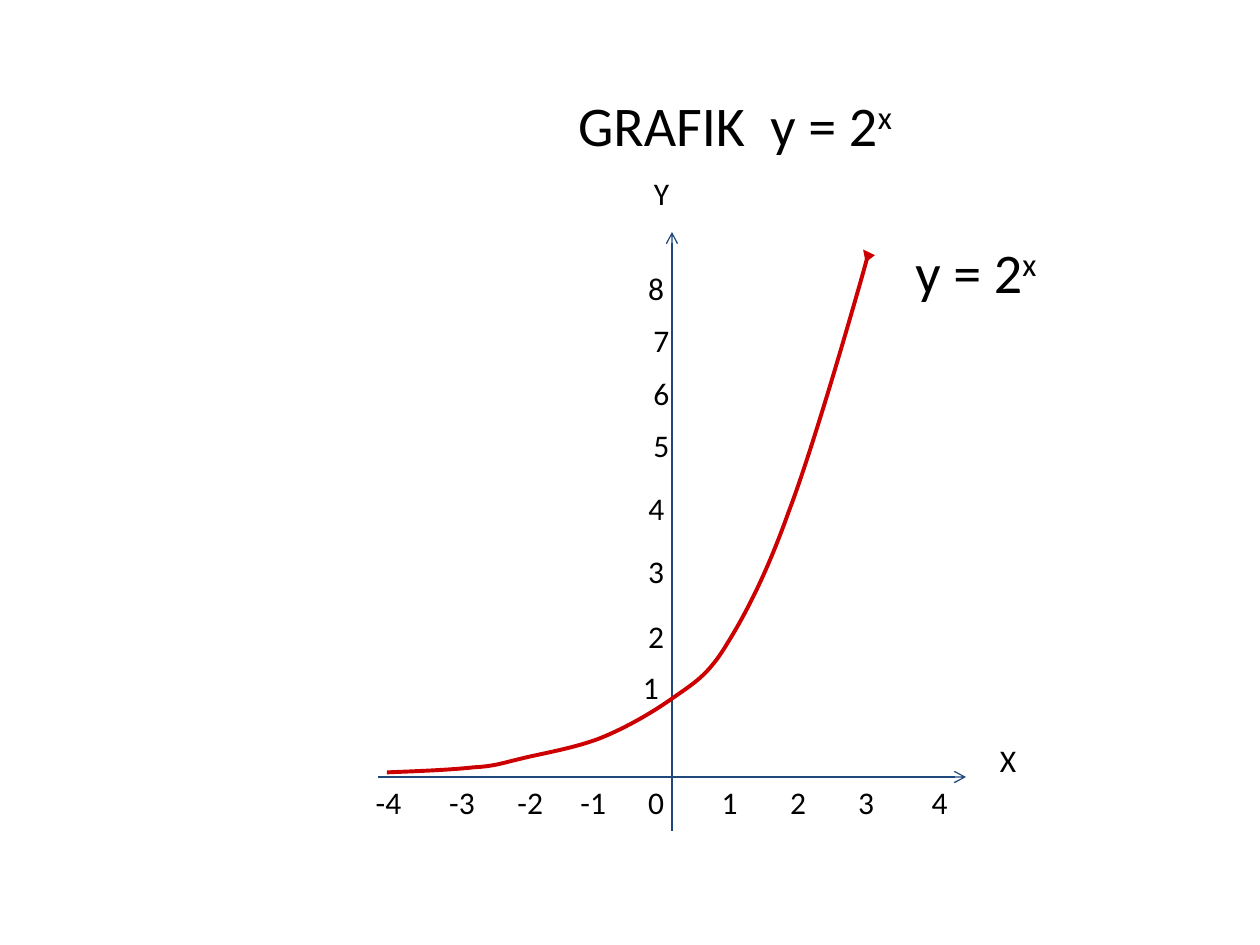
import pptx
import pptx.dml.color
import pptx.enum.shapes
import pptx.enum.text
import pptx.oxml.ns
import pptx.util
from lxml import etree

BLACK = pptx.dml.color.RGBColor(0x00, 0x00, 0x00)
NAVY = pptx.dml.color.RGBColor(0x1F, 0x49, 0x7D)
RED = pptx.dml.color.RGBColor(0xCC, 0x00, 0x00)
CENTER = pptx.enum.text.PP_ALIGN.CENTER
LEFT = pptx.enum.text.PP_ALIGN.LEFT
CELL = pptx.util.Inches(1) / 12
UNIT = pptx.util.Inches(0.01)
LABEL_ROWS = 4.8

X_TICKS = zip(range(-4, 5),
              (-30, -23, -16, -10, -4, 3, 10, 16, 22),
              (6, 6, 5, 5, 5, 5, 4, 5, 7))
Y_TICKS = zip(range(1, 9),
              (-5, -4, -5, -6, -4, -4, -4, -5),
              (-11, -15.8, -22, -28, -34, -39, -44, -49),
              (6, 5, 7, 9, 6, 6, 6, 7))
CURVE = [(-226, -4),
         (-200, -5), (-175, -6), (-157, -8),
         (-140, -9), (-136, -11), (-119, -15),
         (-103, -19), (-78, -23), (-57, -31),
         (-37, -39), (-16, -51), (1, -63),
         (18, -75), (29, -81), (44, -106),
         (59, -130), (76, -163), (93, -211),
         (111, -258), (139, -355), (149, -390),
         (159, -425), (155, -422), (152, -419)]


def grid(*cells):
    """Turn grid columns and rows into lengths."""
    return [pptx.util.Emu(round(c * CELL)) for c in cells]


def write(sp, text, size, align=CENTER, power=""):
    """Write one line of text with an optional raised power."""
    tf = sp.text_frame
    tf.word_wrap = True
    tf.vertical_anchor = pptx.enum.text.MSO_ANCHOR.TOP
    p = tf.paragraphs[0]
    p.alignment = align
    for part in filter(None, (text, power)):
        r = p.add_run()
        r.text = part
        r.font.color.rgb = BLACK
        for name, value in {"name": "Calibri", "size": pptx.util.Pt(size)}.items():
            setattr(r.font, name, value)
    if power:
        r._r.get_or_add_rPr().set("baseline", "30000")


def add_text(s, box, text, size=18, **options):
    """Add a text box that grows with its text."""
    sp = s.shapes.add_textbox(*grid(*box))
    write(sp, text, size, **options)
    sp.text_frame.auto_size = pptx.enum.text.MSO_AUTO_SIZE.SHAPE_TO_FIT_TEXT


def style_line(sp, color, width, arrow):
    """Colour a line, put an arrowhead at its end and clear its shadow."""
    for name, value in {"width": pptx.util.Pt(width)}.items():
        setattr(sp.line, name, value)
    sp.line.color.rgb = color
    etree.SubElement(sp.line._get_or_add_ln(), pptx.oxml.ns.qn("a:tailEnd"), type=arrow)
    etree.SubElement(sp._element.spPr, pptx.oxml.ns.qn("a:effectLst"))


def add_axes(s, x, y):
    """Draw both axes with their names and numbers around the origin."""
    for ends in ((x - 28, y, x + 28, y), (x, y + 5.1, x, y - 51.9)):
        sp = s.shapes.add_connector(pptx.enum.shapes.MSO_CONNECTOR.STRAIGHT, *grid(*ends))
        style_line(sp, NAVY, 0.75, "arrow")
    labels = [(n, col, 0, width) for n, col, width in X_TICKS]
    labels += [*Y_TICKS, ("Y", -4, -58, 6), ("X", 29, -4, 6)]
    for text, col, row, width in labels:
        add_text(s, (x + col, y + row, width, LABEL_ROWS), str(text))


def add_curve(s, x, y):
    """Draw the exponential curve as joined Bezier pieces around the origin."""
    builder = s.shapes.build_freeform(*CURVE[0], scale=UNIT)
    builder.add_line_segments(CURVE[1:], close=False)
    sp = builder.convert_to_shape(*(round(v / UNIT) * UNIT for v in grid(x, y)))
    lines = list(sp._element.iter(pptx.oxml.ns.qn("a:lnTo")))
    for i in range(0, len(lines), 3):
        bezier = etree.Element(pptx.oxml.ns.qn("a:cubicBezTo"))
        lines[i].addprevious(bezier)
        for line in lines[i:i + 3]:
            bezier.append(line[0])
            line.getparent().remove(line)
    sp.fill.background()
    style_line(sp, RED, 2.25, "triangle")


def add_title(s, box):
    """Place the slide title in its placeholder."""
    sp = s.shapes.title
    for name, value in zip(("left", "top", "width", "height"), grid(*box)):
        setattr(sp, name, value)
    write(sp, "GRAFIK  y = 2", 32, power="x")
    sp.text_frame.auto_size = pptx.enum.text.MSO_AUTO_SIZE.NONE


def main():
    """Build the slide and save it."""
    prs = pptx.Presentation()
    prs.slide_width, prs.slide_height = grid(120, 90)
    s = prs.slides.add_slide(prs.slide_layouts[5])
    add_title(s, (24, 8, 92, 6))
    add_axes(s, 64, 74)
    add_curve(s, 64, 74)
    add_text(s, (86, 22, 23, 7.7), "y = 2", 32, align=LEFT, power="x")
    prs.save("out.pptx")


if __name__ == "__main__":
    main()
